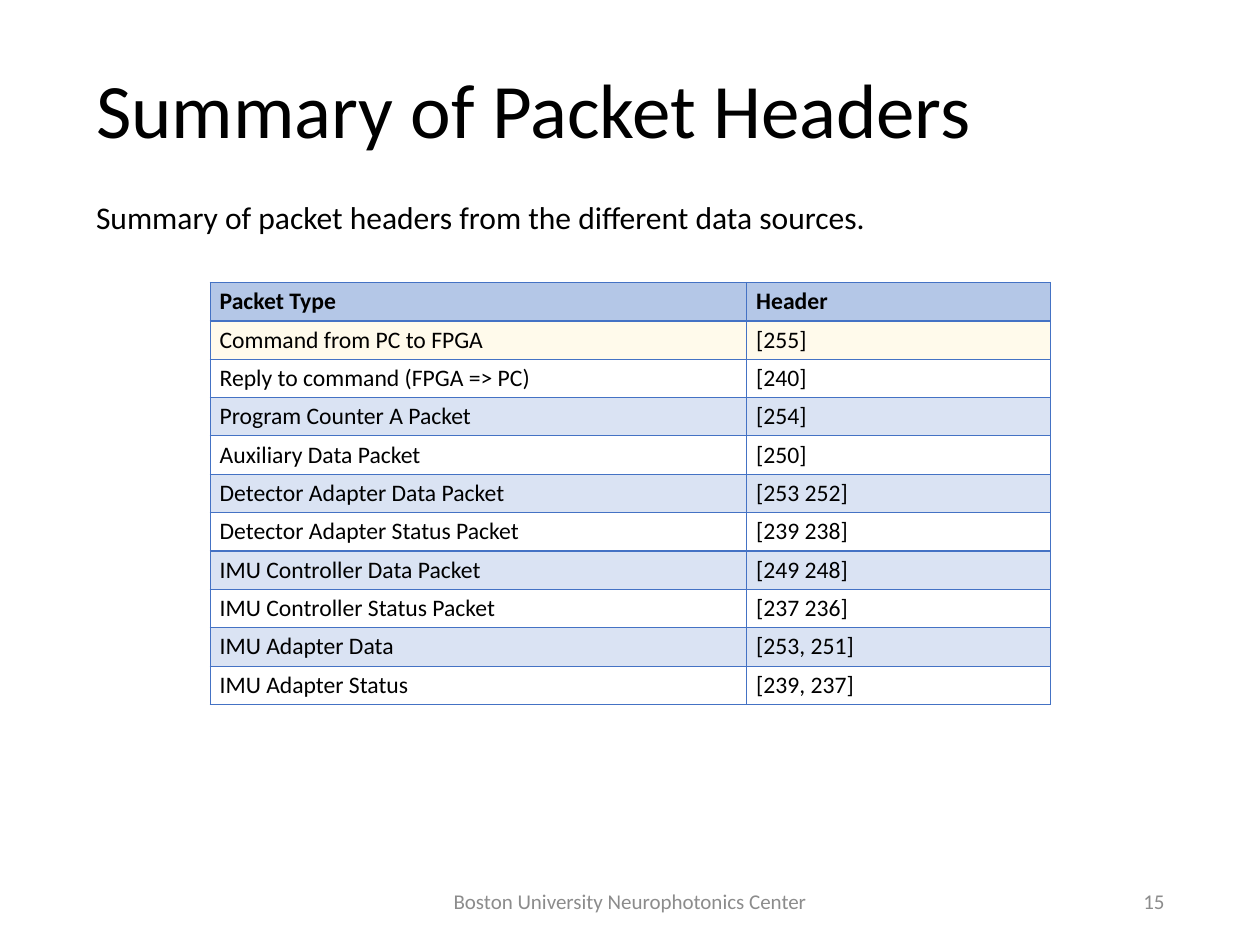
from lxml.etree import SubElement
from pptx import Presentation
from pptx.dml.color import RGBColor
from pptx.enum.text import MSO_ANCHOR, PP_ALIGN
from pptx.oxml.ns import qn
from pptx.util import Pt

BORDER = "4472C4"
HEADER_FILL, COMMAND_FILL, BAND_FILL = "B4C7E7", "FFFAEB", "DAE3F3"
PACKETS = [
    ("Packet Type", "Header"),
    ("Command from PC to FPGA", "[255]"),
    ("Reply to command (FPGA => PC)", "[240]"),
    ("Program Counter A Packet", "[254]"),
    ("Auxiliary Data Packet", "[250]"),
    ("Detector Adapter Data Packet", "[253 252]"),
    ("Detector Adapter Status Packet", "[239 238]"),
    ("IMU Controller Data Packet", "[249 248]"),
    ("IMU Controller Status Packet", "[237 236]"),
    ("IMU Adapter Data", "[253, 251]"),
    ("IMU Adapter Status", "[239, 237]"),
]


def write(frame, text, size, color="000000", bold=False, align=PP_ALIGN.LEFT):
    frame.text = text
    frame.word_wrap = True
    paragraph = frame.paragraphs[0]
    paragraph.alignment = align
    font = paragraph.runs[0].font
    font.name, font.size, font.bold = "Calibri", Pt(size), bold
    font.color.rgb = RGBColor.from_string(color)
    return paragraph


def add_border(cell, side, width):
    line = SubElement(cell._tc.get_or_add_tcPr(), qn(f"a:ln{side}"), w=str(Pt(width)))
    fill = SubElement(line, qn("a:solidFill"))
    SubElement(fill, qn("a:srgbClr"), val=BORDER)


deck = Presentation()
deck.slide_width, deck.slide_height = Pt(959), Pt(719.3)
slide = deck.slides.add_slide(deck.slide_layouts[5])

# Title
title = slide.shapes.title
title.left, title.top, title.width, title.height = Pt(66), Pt(38.3), Pt(827), Pt(96.5)
title.text_frame.vertical_anchor = MSO_ANCHOR.MIDDLE
write(title.text_frame, "Summary of Packet Headers", 58.6).line_spacing = 0.9

# Introduction
intro = slide.shapes.add_textbox(Pt(66), Pt(150.5), Pt(827), Pt(48))
write(intro.text_frame, "Summary of packet headers from the different data sources.",
      24).line_spacing = 0.9

# Packet table
table = slide.shapes.add_table(len(PACKETS), 2, Pt(160), Pt(215),
                               Pt(639.4), Pt(29.2 * len(PACKETS))).table
table.horz_banding = False
table.first_row = False
table.columns[0].width, table.columns[1].width = Pt(408.4), Pt(231)
for row, packet in enumerate(PACKETS):
    table.rows[row].height = Pt(29.2)
    for column, text in enumerate(packet):
        cell = table.cell(row, column)
        write(cell.text_frame, text, 18, bold=row == 0)
        for side in "LRTB":
            add_border(cell, side, 2 if row == 0 and side == "B" else 1)
        if row == 0:
            color = HEADER_FILL
        elif row == 1:
            color = COMMAND_FILL
        else:
            color = BAND_FILL if row % 2 else None
        if color:
            cell.fill.solid()
            cell.fill.fore_color.rgb = RGBColor.from_string(color)
        else:
            cell.fill.background()

# Footer and slide number
for left, width, text, align in [
    (317.5, 324, "Boston University Neurophotonics Center", PP_ALIGN.CENTER),
    (677.5, 216, "15", PP_ALIGN.RIGHT),
]:
    footer = slide.shapes.add_textbox(Pt(left), Pt(666.7), Pt(width), Pt(38.3))
    footer.text_frame.vertical_anchor = MSO_ANCHOR.MIDDLE
    write(footer.text_frame, text, 16, "8C8C8C", align=align)

deck.save("out.pptx")
